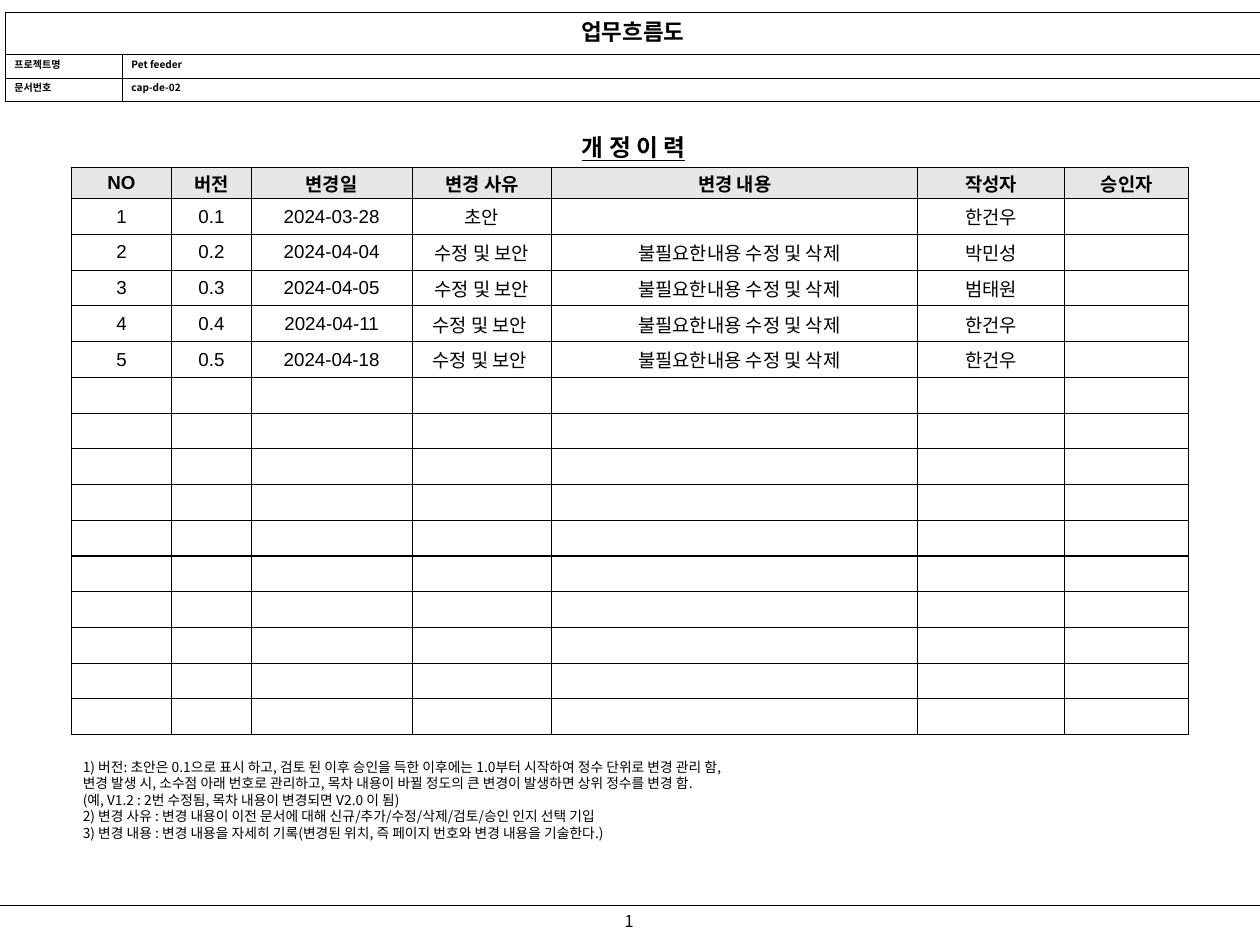
import dataclasses
import typing

import lxml.etree
import pptx
import pptx.dml.color
import pptx.enum.dml
import pptx.enum.shapes
import pptx.enum.text
import pptx.oxml
import pptx.oxml.ns
import pptx.util

BLACK = pptx.dml.color.RGBColor(0x00, 0x00, 0x00)
WHITE = pptx.dml.color.RGBColor(0xFF, 0xFF, 0xFF)
GRAY = pptx.dml.color.RGBColor(0xE6, 0xE6, 0xE6)
KOREAN = "Noto Sans CJK KR"
LATIN = "Arial"
LEFT = pptx.enum.text.PP_ALIGN.LEFT
CENTER = pptx.enum.text.PP_ALIGN.CENTER
TOP = pptx.enum.text.MSO_ANCHOR.TOP
MIDDLE = pptx.enum.text.MSO_ANCHOR.MIDDLE
WIDTH = pptx.util.Inches(14)
HEIGHT = pptx.util.Inches(10.5)


def across(percent: float) -> int:
    return round(WIDTH * percent / 100)


def down(percent: float) -> int:
    return round(HEIGHT * percent / 100)


@dataclasses.dataclass(frozen=True)
class Box:
    left: float
    top: float
    width: float
    height: float

    def emu(self) -> tuple[int, int, int, int]:
        return across(self.left), down(self.top), across(self.width), down(self.height)


@dataclasses.dataclass(frozen=True)
class Grid:
    left: float
    top: float
    cols: list[float]
    rows: list[float]

    def box(self) -> Box:
        return Box(self.left, self.top, sum(self.cols), sum(self.rows))


class Revision(typing.NamedTuple):
    no: str
    version: str
    date: str
    reason: str
    change: str
    author: str


PROJECT_GRID = Grid(0.43, 1.33, [9.29, 90.29], [4.48, 2.48, 2.48])
HISTORY_GRID = Grid(5.64, 17.71, [8, 6.29, 12.79, 11.07, 29.07, 11.64, 9.86], [3.33] + [3.78] * 15)
TITLE_BOX = Box(41.57, 13.33, 17.43, 4.48)
NOTES_BOX = Box(5.64, 79.62, 88.71, 10.1)
PAGE_BOX = Box(48, 95.81, 3.86, 3.33)

PROJECT = [("프로젝트명", "Pet feeder"), ("문서번호", "cap-de-02")]
HEADINGS = ["NO", "버전", "변경일", "변경 사유", "변경 내용", "작성자", "승인자"]
CHANGE_COL = HEADINGS.index("변경 내용")
CHANGE = "불필요한내용 수정 및 삭제"
REVISIONS = [
    Revision("1", "0.1", "2024-03-28", "초안", "", "한건우"),
    Revision("2", "0.2", "2024-04-04", "수정 및 보안", CHANGE, "박민성"),
    Revision("3", "0.3", "2024-04-05", "수정 및 보안", CHANGE, "범태원"),
    Revision("4", "0.4", "2024-04-11", "수정 및 보안 ", CHANGE, "한건우"),
    Revision("5", "0.5", "2024-04-18", "수정 및 보안 ", CHANGE, "한건우"),
]
NOTES = [
    "1) 버전: 초안은 0.1으로 표시 하고, 검토 된 이후 승인을 득한 이후에는 1.0부터 시작하여 정수 단위로 변경 관리 함,",
    "변경 발생 시, 소수점 아래 번호로 관리하고, 목차 내용이 바뀔 정도의 큰 변경이 발생하면 상위 정수를 변경 함.",
    "(예, V1.2 : 2번 수정됨, 목차 내용이 변경되면 V2.0 이 됨)",
    "2) 변경 사유 : 변경 내용이 이전 문서에 대해 신규/추가/수정/삭제/검토/승인 인지 선택 기입",
    "3) 변경 내용 : 변경 내용을 자세히 기록(변경된 위치, 즉 페이지 번호와 변경 내용을 기술한다.)",
]


def write(tf, *lines: str, size: float, font: str = KOREAN, bold: bool = False,
          underline: bool = False, align=LEFT, leading: float | None = None) -> None:
    for i, line in enumerate(lines):
        p = tf.paragraphs[0] if i == 0 else tf.add_paragraph()
        p.alignment = align
        if leading:
            p.line_spacing = pptx.util.Pt(size * leading)
        r = p.add_run()
        r.text = line
        r.font.size = pptx.util.Pt(size)
        r.font.name = font
        r.font.bold = bold
        r.font.underline = underline
        r.font.color.rgb = BLACK
        ea = lxml.etree.SubElement(r.font._element, pptx.oxml.ns.qn("a:ea"))
        ea.set("typeface", KOREAN)


def frame(sp, box: Box, anchor=TOP, wrap: bool = True):
    sp.left, sp.top, sp.width, sp.height = box.emu()
    tf = sp.text_frame
    tf.auto_size = pptx.enum.text.MSO_AUTO_SIZE.NONE
    tf.word_wrap = wrap
    tf.vertical_anchor = anchor
    tf.margin_left = tf.margin_right = pptx.util.Inches(0.13)
    tf.margin_top = tf.margin_bottom = pptx.util.Inches(0.07)
    return tf


def add_frame(s, box: Box, wrap: bool = True):
    return frame(s.shapes.add_textbox(*box.emu()), box, wrap=wrap)


def style_cell(cell, fill, anchor, side: float, edge: float) -> None:
    tc_pr = cell._tc.get_or_add_tcPr()
    for tag in ("lnL", "lnR", "lnT", "lnB"):
        tc_pr.append(pptx.oxml.parse_xml(
            f'<a:{tag} {pptx.oxml.ns.nsdecls("a")} w="12700"><a:solidFill>'
            f'<a:srgbClr val="{BLACK}"/></a:solidFill></a:{tag}>'))
    if fill is None:
        cell.fill.background()
    else:
        cell.fill.solid()
        cell.fill.fore_color.rgb = fill
    cell.vertical_anchor = anchor
    cell.margin_left = cell.margin_right = pptx.util.Inches(side)
    cell.margin_top = cell.margin_bottom = pptx.util.Inches(edge)


def add_grid(s, grid: Grid, fill, anchor, side: float, edge: float):
    table = s.shapes.add_table(len(grid.rows), len(grid.cols), *grid.box().emu()).table
    table.first_row = table.horz_banding = False
    for col, share in zip(table.columns, grid.cols):
        col.width = across(share)
    for row, share in zip(table.rows, grid.rows):
        row.height = down(share)
    for cell in table.iter_cells():
        style_cell(cell, fill, anchor, side, edge)
    return table


def add_project(s) -> None:
    table = add_grid(s, PROJECT_GRID, WHITE, TOP, 0.1, 0.02)
    table.cell(0, 0).merge(table.cell(0, 1))
    write(table.cell(0, 0).text_frame, "업무흐름도", size=18, bold=True, align=CENTER)
    for i, pair in enumerate(PROJECT, 1):
        for j, text in enumerate(pair):
            write(table.cell(i, j).text_frame, text, size=8, bold=True)


def add_history(s) -> None:
    table = add_grid(s, HISTORY_GRID, None, MIDDLE, 0.09, 0)
    for i, record in enumerate([HEADINGS, *REVISIONS]):
        for j, text in enumerate(record):
            cell = table.cell(i, j)
            if i == 0:
                cell.fill.solid()
                cell.fill.fore_color.rgb = GRAY
            elif j == CHANGE_COL:
                cell.margin_left = pptx.util.Inches(0.19)
            if text:
                write(cell.text_frame, text, size=15, font=LATIN, bold=i == 0, align=CENTER)


def add_footer(s) -> None:
    y = down(PAGE_BOX.top)
    line = s.shapes.add_connector(pptx.enum.shapes.MSO_CONNECTOR.STRAIGHT, 0, y, WIDTH, y)
    line.line.color.rgb = BLACK
    line.line.width = pptx.util.Pt(1)
    lxml.etree.SubElement(line._element.spPr, pptx.oxml.ns.qn("a:effectLst"))
    write(add_frame(s, PAGE_BOX, wrap=False), "1", size=13, align=CENTER, leading=1.2)


def main() -> None:
    prs = pptx.Presentation()
    prs.slide_width, prs.slide_height = WIDTH, HEIGHT
    s = prs.slides.add_slide(prs.slide_layouts.get_by_name("Title Only"))
    add_footer(s)
    write(frame(s.shapes.title, TITLE_BOX, anchor=MIDDLE), "개 정 이 력",
          size=19, bold=True, underline=True, align=CENTER)
    add_history(s)
    write(add_frame(s, NOTES_BOX), *NOTES, size=11, leading=1.2)
    add_project(s)
    prs.save("out.pptx")


if __name__ == "__main__":
    main()
